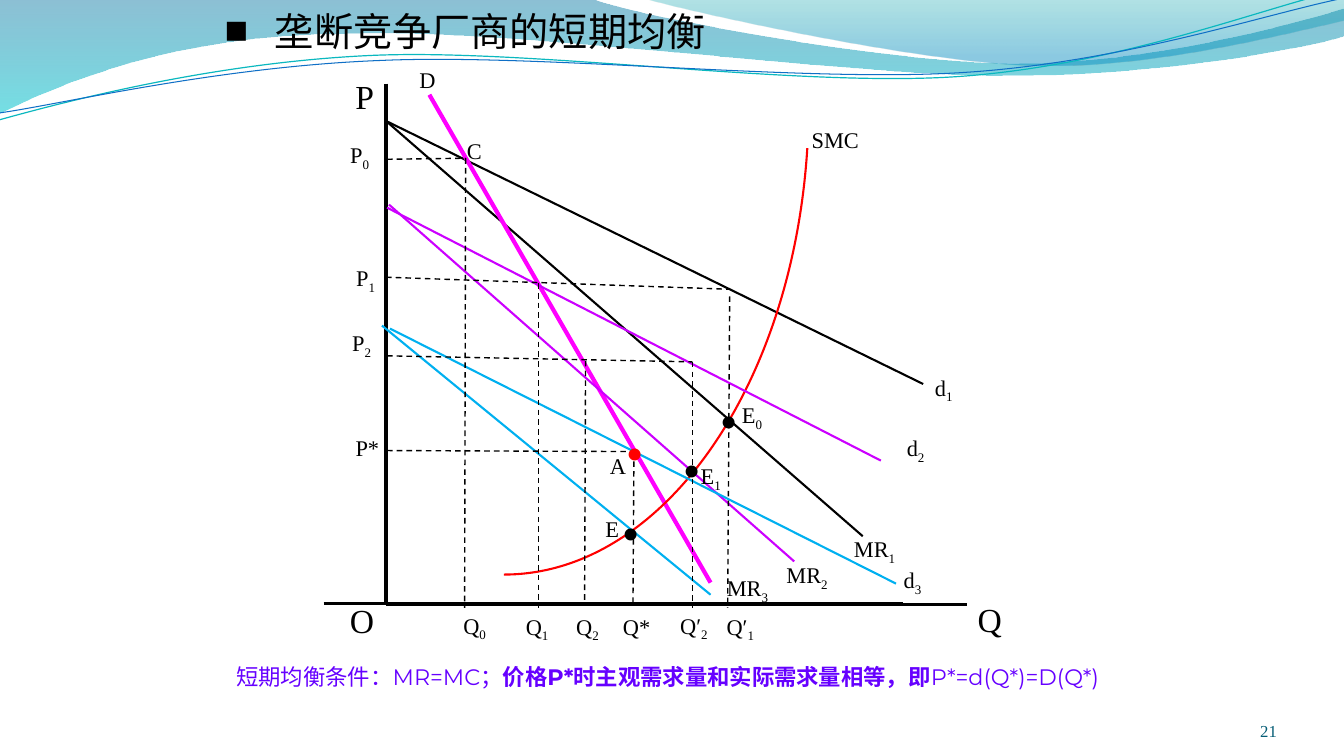
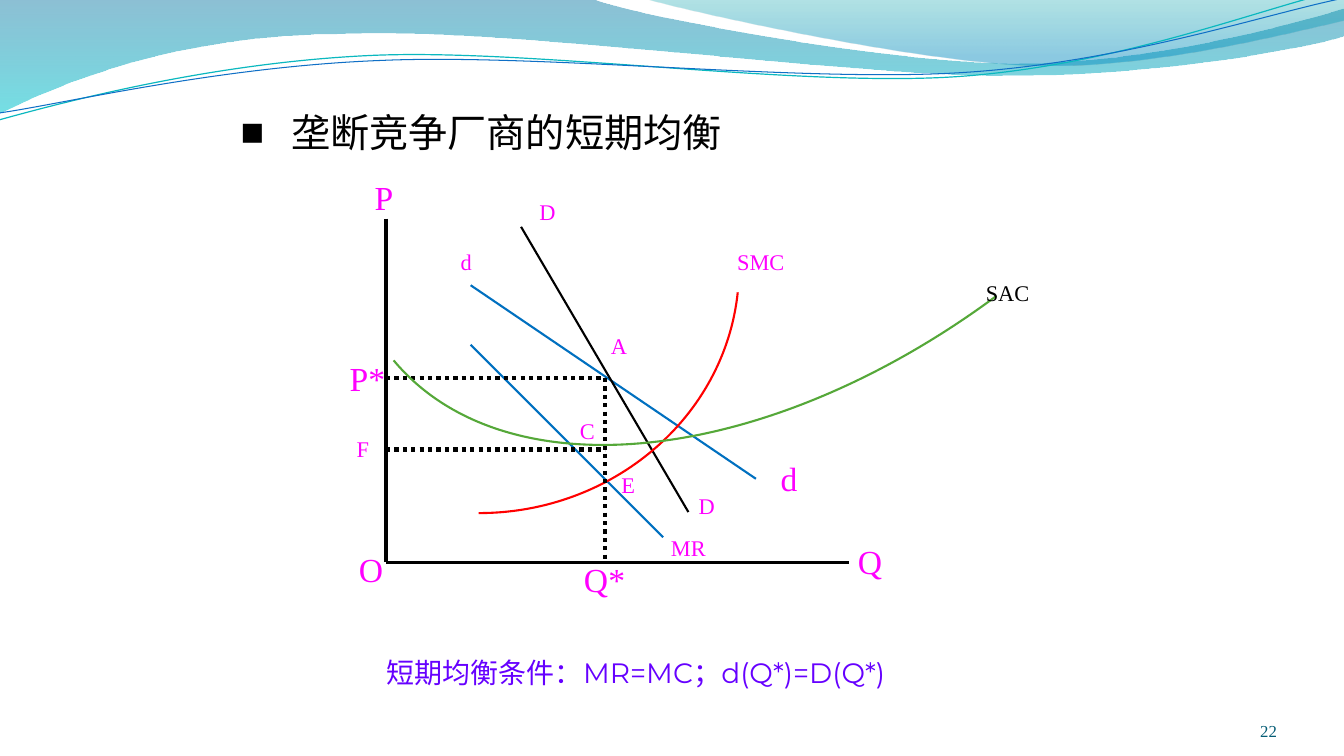
from copy import deepcopy
from dataclasses import dataclass
from math import cos, radians, sin

from pptx import Presentation
from pptx.dml.color import RGBColor
from pptx.enum.dml import MSO_LINE
from pptx.enum.shapes import MSO_CONNECTOR
from pptx.enum.text import MSO_ANCHOR, MSO_AUTO_SIZE, PP_ALIGN
from pptx.oxml.ns import qn
from pptx.oxml.xmlchemy import OxmlElement
from pptx.util import Cm, Pt

STRAIGHT = MSO_CONNECTOR.STRAIGHT
DASH, DOTS = MSO_LINE.DASH, MSO_LINE.ROUND_DOT
TOP, MIDDLE, BOTTOM = MSO_ANCHOR.TOP, MSO_ANCHOR.MIDDLE, MSO_ANCHOR.BOTTOM
FIT, FIXED = MSO_AUTO_SIZE.SHAPE_TO_FIT_TEXT, MSO_AUTO_SIZE.NONE
LEFT, CENTER, RIGHT = PP_ALIGN.LEFT, PP_ALIGN.CENTER, PP_ALIGN.RIGHT


@dataclass(frozen=True)
class Theme:
    """Colours, fonts and type sizes of the deck."""
    black: str = "000000"
    red: str = "FF0000"
    pink: str = "FF00FF"
    violet: str = "CC00FF"
    sky: str = "00B0F0"
    blue: str = "0070C0"
    green: str = "55A839"
    note: str = "6600FF"
    foot: str = "045C75"
    teal: str = "0AB8BF"
    navy: str = "0F6FC6"
    band: tuple = (("0074A1", 45, 0), ("00C6CF", 55, 1))
    crest: tuple = (("00A1A9", 30, 0), ("008BBF", 45, 0.8))
    serif: str = "Times New Roman"
    sans: str = "Montserrat"
    head: str = "Calibri"
    small: int = 12
    text: int = 16
    lead: int = 20
    axis: int = 24
    title: int = 28
    dot: int = 72


T = Theme()
TITLE = "垄断竞争厂商的短期均衡"
RULE = "短期均衡条件："


def inch(value):
    """Turn inches into a length."""
    return Cm(value * 2.54)


def apply(target, values):
    """Set each attribute named in a dict."""
    for name, value in values.items():
        setattr(target, name, value)


def turn(point, angle, pivot):
    """Turn a point back by an angle about a pivot."""
    x, y = point[0] - pivot[0], point[1] - pivot[1]
    c, s = cos(radians(angle)), sin(radians(angle))
    return pivot[0] + x * c + y * s, pivot[1] + y * c - x * s


def outline(slide, start, parts, close=False, angle=0, pivot=(0, 0)):
    """Add a freeform of lines (2 numbers) and cubic curves (6)."""
    spots = [start] + [part[i:i + 2] for part in parts
                       for i in range(0, len(part), 2)]
    first, *rest = [tuple(inch(v) for v in turn(p, angle, pivot))
                    for p in spots]
    pen = slide.shapes.build_freeform(*first)
    pen.add_line_segments(rest, close=close)
    shape = pen.convert_to_shape()
    shape.shadow.inherit = False
    shape.rotation = angle
    steps = iter(list(shape._element.iter(qn("a:lnTo"))))
    for part in parts:
        step = next(steps)
        if len(part) == 6:
            bend = OxmlElement("a:cubicBezTo")
            step.addprevious(bend)
            for old in (step, next(steps), next(steps)):
                bend.append(old[0])
                old.getparent().remove(old)
    return shape


def ink(line, color, width, dash=None):
    """Format a line."""
    line.color.rgb = RGBColor.from_string(color)
    apply(line, {"width": Pt(width), "dash_style": dash})


def curve(slide, color, width, start, *parts, **pose):
    """Add an open curve."""
    shape = outline(slide, start, parts, **pose)
    shape.fill.background()
    ink(shape.line, color, width)
    return shape


def arc(slide, color, start, bend, hub, **pose):
    """Add an arc whose frame reaches its hub."""
    shape = curve(slide, color, 1.5, start, bend, hub, **pose)
    edge = next(shape._element.iter(qn("a:path")))
    wedge = deepcopy(edge)
    wedge.append(OxmlElement("a:close"))
    wedge.set("stroke", "0")
    edge.addnext(wedge)
    edge.set("fill", "none")
    edge.remove(edge[-1])


def wave(slide, stops, start, *parts):
    """Add a closed band with a clear gradient."""
    shape = outline(slide, start, parts, True)
    shape.line.fill.background()
    shape.fill.gradient()
    shape.fill.gradient_angle = 270
    for stop, (color, _, place) in zip(shape.fill.gradient_stops, stops):
        stop.color.rgb = RGBColor.from_string(color)
        stop.position = place
    tones = shape._element.spPr.iter(qn("a:srgbClr"))
    for tone, (_, share, _) in zip(list(tones), stops):
        alpha = OxmlElement("a:alpha")
        alpha.set("val", str(share * 1000))
        tone.append(alpha)


def lines(slide, color, width, ends, dash=None):
    """Add straight lines of one style."""
    for spot in ends:
        link = slide.shapes.add_connector(STRAIGHT, *map(inch, spot))
        ink(link.line, color, width, dash)
        link._element.spPr.append(OxmlElement("a:effectLst"))


def write(slide, box, runs, size, color, align, **frame):
    """Add a text box of (text, font, bold, baseline) runs."""
    text = slide.shapes.add_textbox(*map(inch, box)).text_frame
    apply(text, {"word_wrap": False, "auto_size": FIXED,
                 "vertical_anchor": TOP, **frame})
    para = text.paragraphs[0]
    para.alignment = align
    for words, face, bold, base in runs:
        run = para.add_run()
        run.text = words
        apply(run.font, {"name": face, "size": Pt(size), "bold": bold})
        run.font.color.rgb = RGBColor.from_string(color)
        if base:
            run._r.get_or_add_rPr().set("baseline", str(base))
    return para


def labels(slide, size, color, items, wrap=False):
    """Add right-set labels; an underscore starts a subscript."""
    for words, left, top, width in items:
        main, _, sub = words.partition("_")
        runs = [(main, T.serif, False, 0)]
        if sub:
            runs.append((sub, T.serif, False, -25000))
        box = (left, top, width, size / 72 * 1.2 + 0.1)
        write(slide, box, runs, size, color, RIGHT,
              word_wrap=wrap, auto_size=FIT)


def title(slide, left, top):
    """Add the bulleted title."""
    para = write(slide, (left, top, 9.16, 0.67),
                 [(TITLE, T.head, False, 0)], T.title, T.black, LEFT,
                 word_wrap=True)
    props = para._p.get_or_add_pPr()
    for name, value in {"marL": inch(0.5), "indent": -inch(0.5)}.items():
        props.set(name, str(int(value)))
    for tag, name, value in (("a:buFont", "typeface", T.serif),
                             ("a:buChar", "char", "■")):
        mark = OxmlElement(tag)
        mark.set(name, value)
        props.append(mark)


def note(slide, box, size, *runs):
    """Add the rule below the graph."""
    rows = [(RULE, T.serif, False, 0)]
    rows += [(words, T.sans, bold, 0) for words, bold in runs]
    write(slide, box, rows, size, T.note, CENTER, vertical_anchor=MIDDLE)


def base(deck, number):
    """Add a slide with the waves and its number."""
    slide = deck.slides.add_slide(deck.slide_layouts[6])
    wave(slide, T.band, (0, -0.01), (5.87, -0.01),
         (6.34, 0.17, 8.85, 0.63, 10.11, 0.63),
         (11.38, 0.63, 12.78, 0.26, 13.33, 0.09), (13.35, 0.36),
         (13.11, 0.44, 11.6, 0.76, 9.94, 0.75),
         (8.29, 0.75, 5.09, 0.28, 3.43, 0.34),
         (1.72, 0.35, 0.61, 0.83, -0.01, 1.13), (0, -0.01))
    wave(slide, T.crest, (6.39, -0.01),
         (6.79, 0.11, 9.09, 0.62, 10.25, 0.65),
         (11.41, 0.69, 12.82, 0.32, 13.33, 0.21), (13.33, 0), (6.39, -0.01))
    curve(slide, T.teal, 0.85, (-0.01, 1.19),
          (0.64, 1.01, 2.11, 0.62, 3.69, 0.55),
          (5.27, 0.48, 7.9, 0.87, 9.5, 0.76),
          (11.1, 0.65, 12.52, 0.08, 13.31, -0.1),
          angle=357.3, pivot=(6.65, 0.58))
    curve(slide, T.navy, 0.75, (0, 1.12),
          (0.63, 1.03, 2.18, 0.66, 3.78, 0.6),
          (5.37, 0.53, 7.96, 0.82, 9.55, 0.72),
          (11.15, 0.62, 12.55, 0.14, 13.34, -0.02),
          angle=357.3, pivot=(6.67, 0.59))
    flush = dict.fromkeys(("margin_left", "margin_top",
                           "margin_right", "margin_bottom"), 0)
    write(slide, (11.56, 6.95, 1.11, 0.4),
          [(str(number), T.serif, False, 0)], T.small, T.foot, RIGHT,
          word_wrap=True, vertical_anchor=BOTTOM, **flush)
    return slide


def shifts(deck):
    """Build the slide on shifting demand."""
    slide = base(deck, 21)
    lines(slide, T.black, 2.25, [
        (3.83, 0.83, 3.83, 6), (3.83, 6, 9.58, 6),
        (3.84, 6, 9.59, 6), (3.21, 5.99, 8.96, 5.99)])
    lines(slide, T.black, 1.5, [
        (3.83, 1.2, 9.16, 3.81), (3.83, 1.2, 8.56, 5.32)])
    lines(slide, T.pink, 3, [(4.26, 0.94, 7.05, 5.78)])
    arc(slide, T.red, (5, 5.7), (6.55, 5.7, 7.86, 3.87, 8.01, 1.47),
        (5, 1.02))
    lines(slide, T.violet, 1.5, [
        (3.84, 2.06, 8.74, 4.57), (3.86, 2.03, 7.88, 5.57)])
    lines(slide, T.sky, 1.5, [
        (3.87, 3.26, 8.89, 5.79), (3.79, 3.23, 7.05, 5.9)])
    lines(slide, T.black, 1, [
        (3.84, 1.58, 4.62, 1.57), (4.62, 1.57, 4.61, 6.03),
        (3.83, 2.75, 7.24, 2.87), (7.24, 2.94, 7.22, 6.03),
        (3.84, 3.53, 6.87, 3.59), (6.87, 3.59, 6.87, 6.03),
        (3.84, 4.47, 6.29, 4.48), (6.29, 4.48, 6.28, 6.02),
        (5.34, 2.81, 5.34, 6.03), (5.81, 3.58, 5.8, 6)], DASH)
    labels(slide, T.axis, T.black, [
        ("P", 3.42, 0.7, 0.39), ("O", 3.36, 5.9, 0.45),
        ("Q", 9.6, 5.89, 0.44)])
    labels(slide, T.text, T.black, [
        ("D", 4.06, 0.61, 0.36), ("C", 4.52, 1.31, 0.36),
        ("P_0", 3.36, 1.35, 0.4), ("P_1", 3.42, 2.57, 0.4),
        ("P_2", 3.38, 3.22, 0.4), ("P*", 3.42, 4.26, 0.44),
        ("d_1", 9.16, 3.66, 0.39), ("d_2", 8.88, 4.26, 0.39),
        ("d_3", 8.85, 5.57, 0.39), ("MR_1", 8.36, 5.26, 0.62),
        ("MR_2", 7.69, 5.52, 0.62), ("MR_3", 7.09, 5.65, 0.63),
        ("E_0", 7.25, 3.93, 0.41), ("E_1", 6.84, 4.54, 0.41),
        ("E", 5.9, 5.06, 0.34), ("Q_0", 4.48, 6.02, 0.44),
        ("Q_1", 5.1, 6.03, 0.44), ("Q_2", 5.6, 6.03, 0.44),
        ("Q*", 6.07, 6.03, 0.48), ("Q′_2", 6.63, 6.02, 0.49),
        ("Q′_1", 7.09, 6.03, 0.49)])
    labels(slide, T.text, T.black, [
        ("SMC", 7.86, 1.2, 0.76), ("A", 5.95, 4.44, 0.36)], True)
    labels(slide, T.dot, T.black, [
        (".", 7.01, 3.19, 0.32), (".", 6.64, 3.68, 0.32),
        (".", 6.04, 4.3, 0.32)], True)
    labels(slide, T.dot, T.red, [(".", 6.08, 3.51, 0.31)], True)
    note(slide, (4.07, 6.34, 5.11, 0.75), T.text, ("MR=MC；", False),
         ("价格P*时主观需求量和实际需求量相等，即", True),
         ("P*=d(Q*)=D(Q*)", False))
    title(slide, 2.13, 0.02)


def balance(deck):
    """Build the slide on the final balance."""
    slide = base(deck, 22)
    lines(slide, T.black, 2.25, [
        (3.83, 2.17, 3.83, 5.58), (3.83, 5.58, 8.42, 5.58)])
    lines(slide, T.blue, 1.5, [
        (4.67, 2.83, 7.5, 4.75), (4.67, 3.42, 6.58, 5.33)])
    lines(slide, T.black, 1.5, [(5.17, 2.25, 6.83, 5.08)])
    arc(slide, T.red, (4.75, 5.09), (6.08, 5.09, 7.19, 4.14, 7.32, 2.9),
        (4.75, 2.67))
    lines(slide, T.black, 3, [
        (6, 3.75, 6, 5.58), (3.83, 3.75, 6, 3.75),
        (3.83, 4.46, 6, 4.46)], DOTS)
    arc(slide, T.green, (3.91, 3.58), (5.02, 4.91, 7.61, 4.63, 9.89, 2.94),
        (8.16, 0.03), angle=50.1, pivot=(7.1, 3.09))
    labels(slide, T.axis, T.pink, [
        ("P", 3.61, 1.71, 0.39), ("O", 3.46, 5.4, 0.44),
        ("Q", 8.41, 5.32, 0.44), ("d", 7.64, 4.49, 0.37),
        ("P*", 3.36, 3.5, 0.56), ("Q*", 5.69, 5.5, 0.61)])
    labels(slide, T.text, T.pink, [
        ("MR", 6.55, 5.25, 0.55), ("D", 6.83, 4.83, 0.36),
        ("D", 5.25, 1.92, 0.36), ("d", 4.47, 2.41, 0.31),
        ("E", 6.06, 4.62, 0.34), ("A", 5.96, 3.25, 0.36),
        ("C", 5.65, 4.09, 0.35), ("F", 3.43, 4.27, 0.33)])
    labels(slide, T.text, T.pink, [("SMC", 6.83, 2.41, 1.05)], True)
    labels(slide, T.text, T.black, [("SAC", 9.55, 2.72, 0.76)], True)
    note(slide, (2.49, 6.25, 7.64, 0.83), T.lead,
         ("MR=MC；d(Q*)=D(Q*)", False))
    title(slide, 2.29, 1.03)


def main():
    """Build and save the deck."""
    deck = Presentation()
    apply(deck, {"slide_width": Cm(33.87), "slide_height": Cm(19.05)})
    shifts(deck)
    balance(deck)
    deck.save("out.pptx")


if __name__ == "__main__":
    main()
